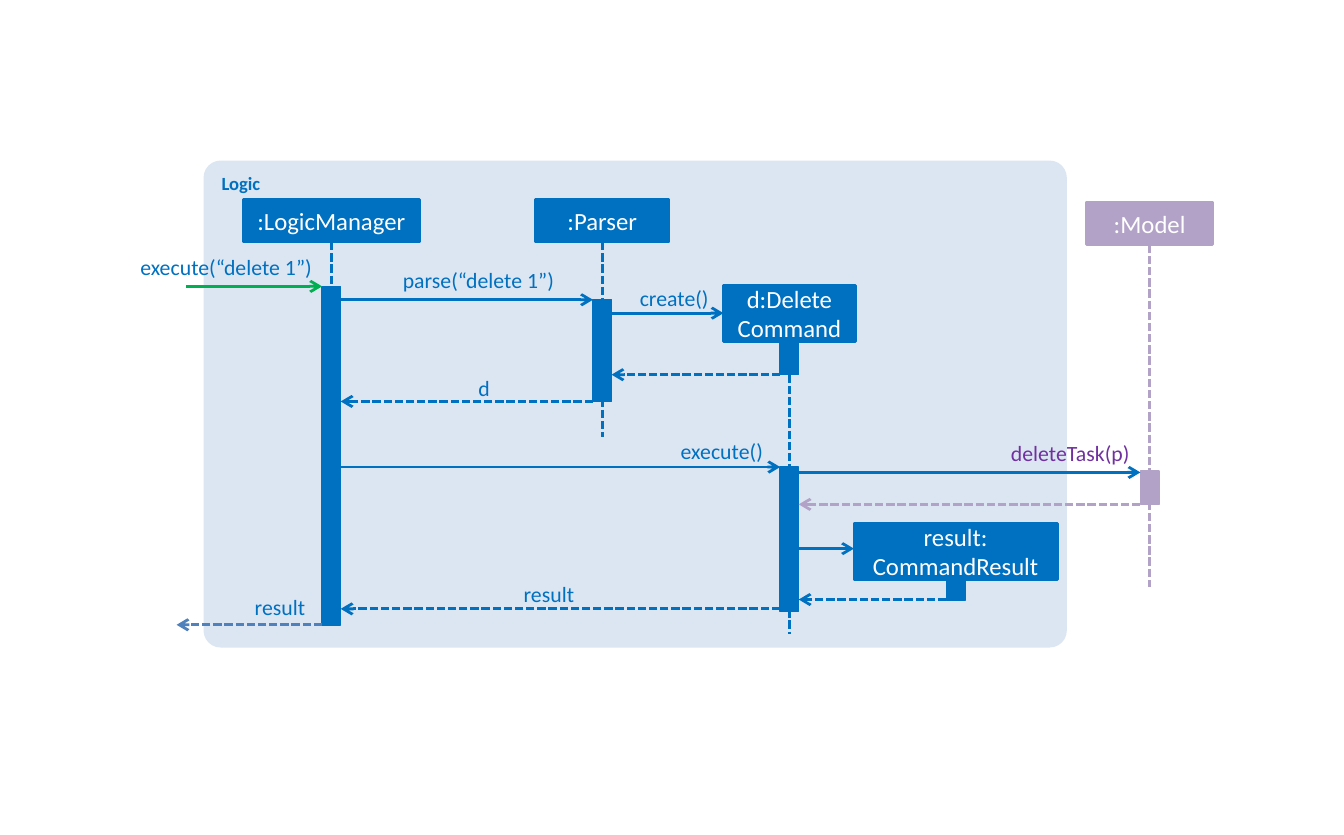
"""Sequence diagram of a delete command running through the Logic component."""
from lxml.etree import SubElement
from pptx import Presentation
from pptx.dml.color import RGBColor
from pptx.enum.dml import MSO_LINE
from pptx.enum.shapes import MSO_CONNECTOR, MSO_SHAPE
from pptx.enum.text import MSO_ANCHOR, MSO_AUTO_SIZE, PP_ALIGN
from pptx.oxml.ns import qn
from pptx.util import Pt

THEME = {
    "font": "Calibri",
    "title": 10, "head": 13.3, "label": 11.7,
    "thin": 0.75, "line": 1.5,
    "blue": "0070C0", "panel": "DCE6F2", "green": "00B050",
    "steel": "4F81BD", "lilac": "B3A2C7", "purple": "7030A0", "white": "FFFFFF",
}
SLIDE = (723, 449.3)
PANEL = ("Logic", 109.5, 86.4, 464.4, 262)
BAR_W = 10
LABEL_H = 14.4

# name: (text, centre x, top, width, height, colour)
HEADS = {
    "manager": (":LogicManager", 178.3, 107.3, 95, 23, "blue"),
    "parser": (":Parser", 324, 107.3, 72, 23, "blue"),
    "command": ("d:Delete\nCommand", 424.7, 153.4, 71, 30.2, "blue"),
    "model": (":Model", 618.5, 108.7, 67.7, 23, "lilac"),
    "result": ("result:\nCommandResult", 514.1, 281.5, 109.4, 30.2, "blue"),
}
LIFELINES = {"manager": 301, "parser": 235.4, "command": 341.3, "model": 316.1}
BARS = [
    ("manager", 154.1, 336.3),
    ("parser", 161.3, 216),
    ("command", 183.6, 201.6),
    ("command", 251.3, 329),
    ("model", 253.4, 271.4),
    ("result", 311.8, 323.3),
]
MESSAGES = [
    ("call", 154.1, 100.1, "manager", "green"),
    ("call", 161.3, "manager", "parser", "blue"),
    ("create", 168.5, "parser", "command", "blue"),
    ("return", 201.6, "command", "parser", "blue"),
    ("return", 216, "parser", "manager", "blue"),
    ("call", 251.3, "manager", "command", "blue"),
    ("call", 254.2, "command", "model", "blue"),
    ("return", 271.4, "model", "command", "lilac"),
    ("create", 295.2, "command", "result", "blue"),
    ("return", 322.6, "result", "command", "blue"),
    ("return", 327.6, "command", "manager", "blue"),
    ("return", 336.2, "manager", 95, "steel"),
]
# text, right edge, top, width, colour
LABELS = [
    ("execute(“delete 1”)", 167.8, 136.8, 93.6, "blue"),
    ("parse(“delete 1”)", 298.1, 143.3, 93.6, "blue"),
    ("create()", 381.2, 153.4, 41.8, "blue"),
    ("d", 263.5, 201.6, 14.4, "blue"),
    ("execute()", 410.4, 235.4, 56.2, "blue"),
    ("deleteTask(p)", 607.7, 236.9, 93.6, "purple"),
    ("result", 308.9, 312.5, 41, "blue"),
    ("result", 164.2, 319.7, 49.7, "blue"),
]


def colour(name):
    return RGBColor.from_string(THEME[name])


def add_box(s, x, y, w, h, fill, line=None, kind=MSO_SHAPE.RECTANGLE):
    sp = s.shapes.add_shape(kind, Pt(x), Pt(y), Pt(w), Pt(h))
    sp.shadow.inherit = False
    sp.fill.solid()
    sp.fill.fore_color.rgb = colour(fill)
    if line:
        sp.line.color.rgb = colour(fill)
        sp.line.width = Pt(THEME[line])
    else:
        sp.line.fill.background()
    return sp


def write(tf, text, size, tint, align, bold=False):
    p = tf.paragraphs[0]
    p.text = text
    p.alignment = align
    p.font.name = THEME["font"]
    p.font.size = Pt(THEME[size])
    p.font.color.rgb = colour(tint)
    p.font.bold = bold


def add_line(s, x1, y1, x2, y2, tint, dashed=False, arrow=False):
    cn = s.shapes.add_connector(MSO_CONNECTOR.STRAIGHT, Pt(x1), Pt(y1), Pt(x2), Pt(y2))
    cn.line.color.rgb = colour(tint)
    cn.line.width = Pt(THEME["line"])
    if dashed:
        cn.line.dash_style = MSO_LINE.SQUARE_DOT
    if arrow:
        SubElement(cn.line._get_or_add_ln(), qn("a:tailEnd"), type="arrow")
    SubElement(cn._element.spPr, qn("a:effectLst"))


def add_panel(s):
    text, *box = PANEL
    sp = add_box(s, *box, "panel", kind=MSO_SHAPE.ROUNDED_RECTANGLE)
    sp.adjustments[0] = 0.035
    sp.text_frame.vertical_anchor = MSO_ANCHOR.TOP
    write(sp.text_frame, text, "title", "blue", PP_ALIGN.LEFT, True)


def add_head(s, text, x, y, w, h, tint):
    tf = add_box(s, x - w / 2, y, w, h, tint, "line").text_frame
    tf.margin_left = tf.margin_right = 0
    tf.vertical_anchor = MSO_ANCHOR.MIDDLE
    write(tf, text, "head", "white", PP_ALIGN.CENTER)


def add_message(s, kind, y, start, end, tint):
    x1, x2 = (HEADS[v][1] if v in HEADS else v for v in (start, end))
    way = 1 if x2 > x1 else -1
    if start in HEADS:
        x1 += way * BAR_W / 2
    if end in HEADS:
        x2 -= way * (HEADS[end][3] if kind == "create" else BAR_W) / 2
    add_line(s, x1, y, x2, y, tint, kind == "return", True)


def add_label(s, text, right, y, w, tint):
    tf = s.shapes.add_textbox(Pt(right - w), Pt(y), Pt(w), Pt(LABEL_H)).text_frame
    tf.word_wrap = True
    tf.auto_size = MSO_AUTO_SIZE.SHAPE_TO_FIT_TEXT
    tf.margin_left = tf.margin_right = tf.margin_top = tf.margin_bottom = 0
    write(tf, text, "label", tint, PP_ALIGN.RIGHT)


def main():
    prs = Presentation()
    prs.slide_width, prs.slide_height = map(Pt, SLIDE)
    s = prs.slides.add_slide(prs.slide_layouts[6])
    add_panel(s)
    for head in HEADS.values():
        add_head(s, *head)
    for name, bottom in LIFELINES.items():
        _, x, top, _, h, tint = HEADS[name]
        add_line(s, x, top + h, x, bottom, tint, dashed=True)
    for name, top, bottom in BARS:
        _, x, *_, tint = HEADS[name]
        add_box(s, x - BAR_W / 2, top, BAR_W, bottom - top, tint, "thin")
    for message in MESSAGES:
        add_message(s, *message)
    for label in LABELS:
        add_label(s, *label)
    prs.save("out.pptx")


if __name__ == "__main__":
    main()
